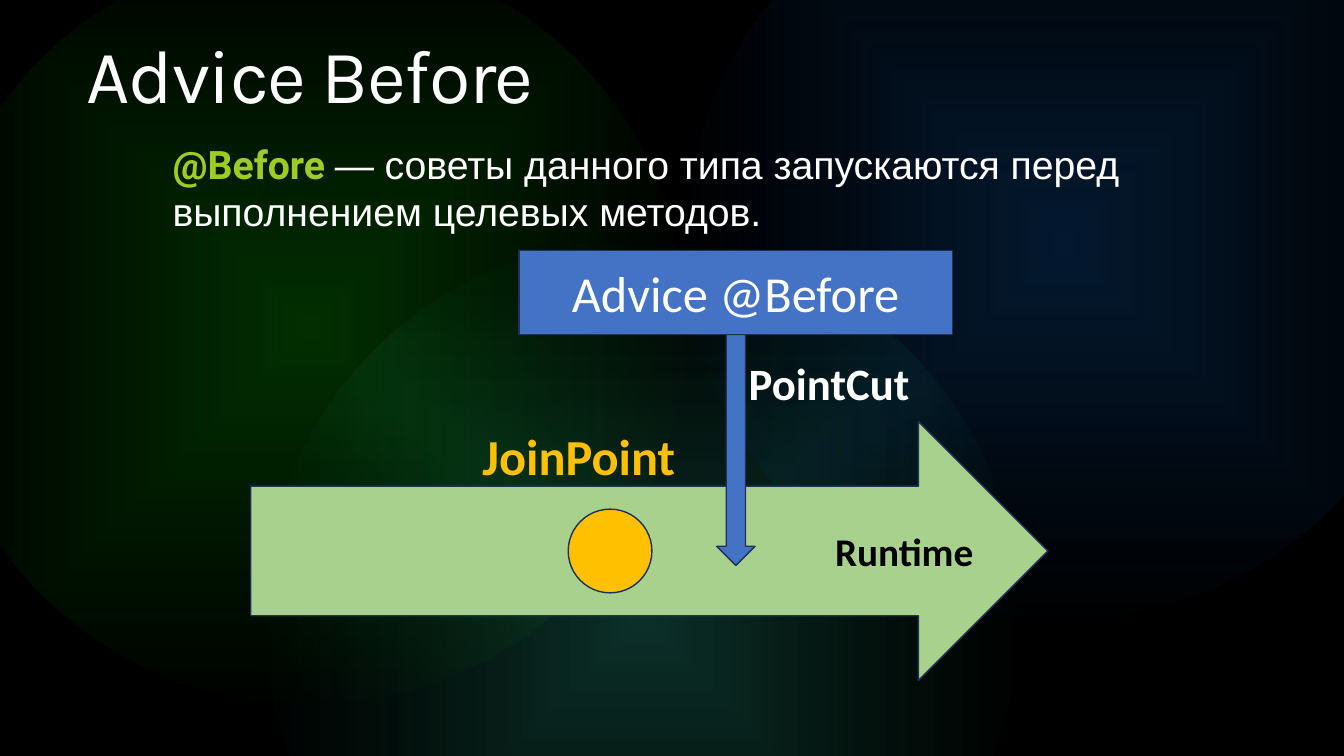
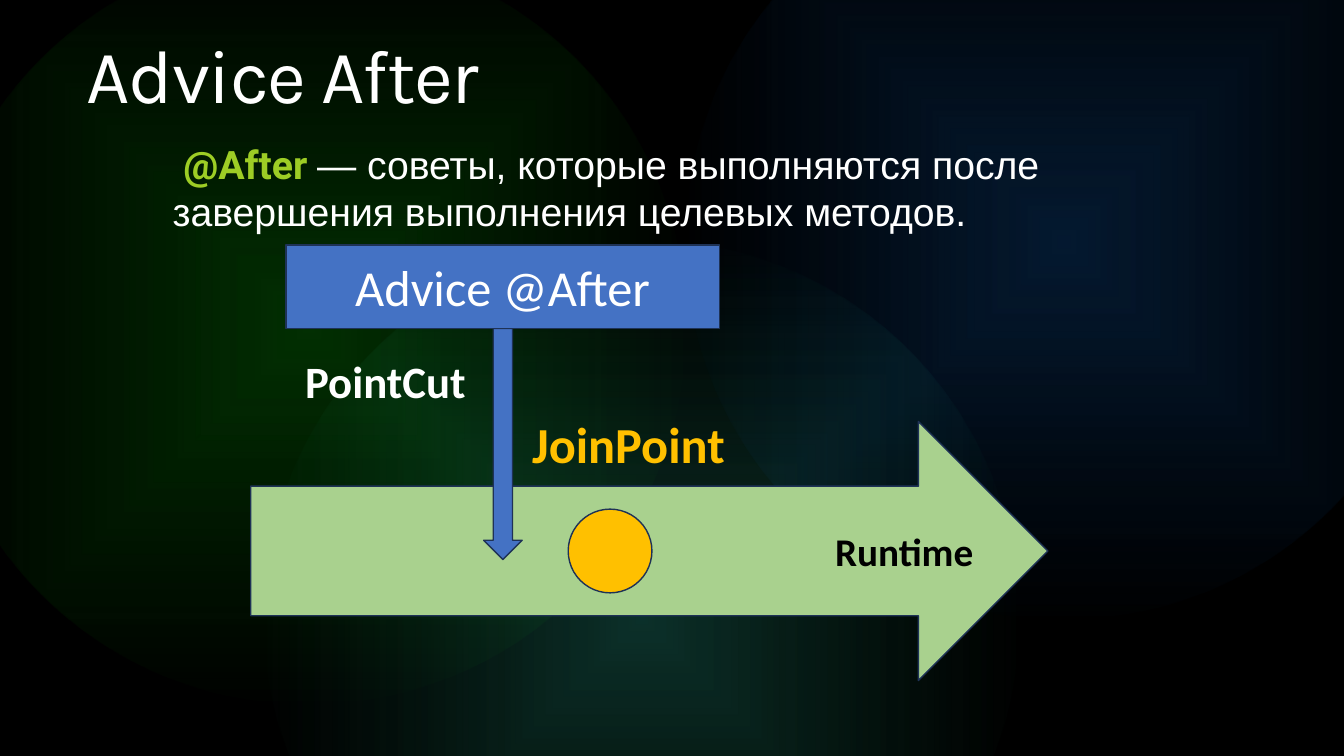
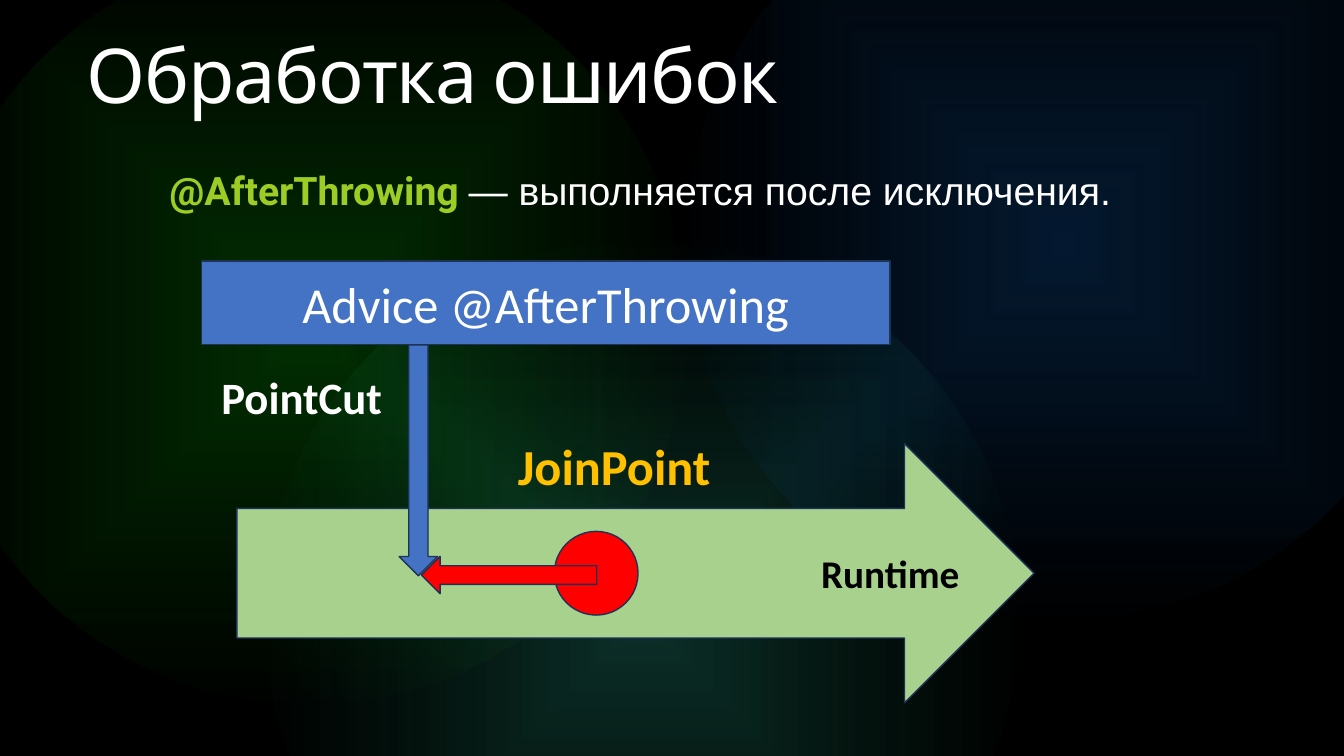
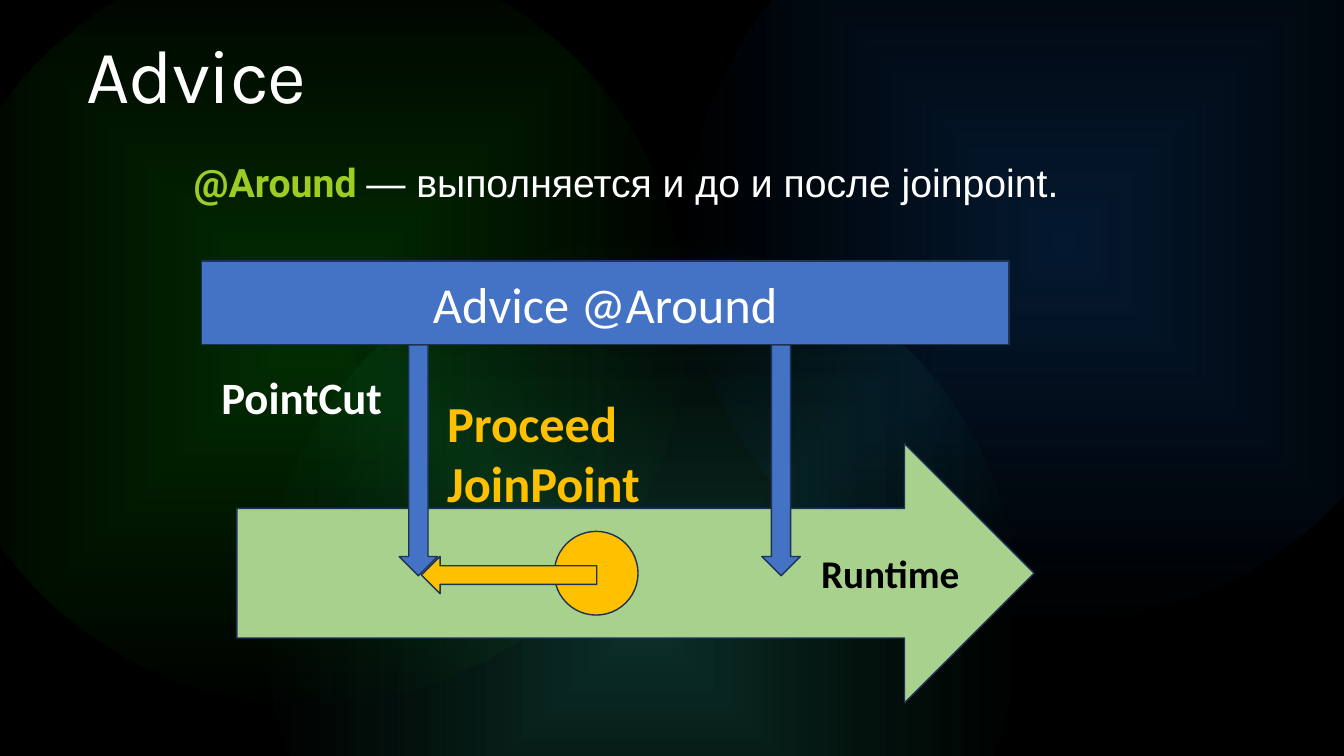
from lxml import etree
from pptx import Presentation
from pptx.dml.color import RGBColor
from pptx.enum.shapes import MSO_SHAPE
from pptx.enum.text import MSO_ANCHOR, PP_ALIGN
from pptx.oxml import parse_xml
from pptx.oxml.ns import nsdecls
from pptx.util import Cm, Pt

INK = {
    "back": "000000", "text": "FFFFFF", "dark": "000000", "tag": "9DCD25",
    "lane": "A9D18E", "blue": "4472C4", "edge": "1E3256",
    "gold": "FFC000", "red": "FF0000",
    "green": "08BC08", "teal": "31C2A7", "sea": "209F6D", "navy": "1164C0",
}


def draw(slide, kind, box, fill):
    shape = slide.shapes.add_shape(kind, *map(Cm, box))
    shape.shadow.inherit = False
    shape.fill.solid()
    shape.fill.fore_color.rgb = RGBColor.from_string(INK[fill])
    shape.line.color.rgb = RGBColor.from_string(INK["edge"])
    shape.line.width = Pt(1)
    return shape


def write(shape, runs, size, inset=None):
    """Fill a shape with one paragraph; each run is (text, font, colour, bold)."""
    frame = shape.text_frame
    frame.word_wrap = True
    if inset is not None:
        frame.margin_left = frame.margin_right = Cm(inset)
        frame.margin_top = frame.margin_bottom = Cm(inset)
    para = frame.paragraphs[0]
    for text, face, tint, bold in runs:
        run = para.add_run()
        run.text = text
        run.font.name = face
        run.font.size = Pt(size)
        run.font.bold = bold
        run.font.color.rgb = RGBColor.from_string(INK[tint])
    return para


deck = Presentation()
deck.slide_width, deck.slide_height = Cm(33.87), Cm(19.05)
blank = deck.slide_layouts[6]
master = deck.slide_master
master.background.fill.solid()
master.background.fill.fore_color.rgb = RGBColor.from_string(INK["back"])

# What differs: lane is left, top; bar is left, top, width
pages = [
    dict(title="Advice Before", tag="@Before", top=3.45, indent=0,
         note="— советы данного типа запускаются перед выполнением целевых методов.",
         left=4.27, lane=(6.32, 10.62), bar=(13.08, 6.32, 10.92), darts=[18.06],
         cut=(18.62, 8.84), join=(11.91, 10.59), label="JoinPoint",
         dot="gold", returns=False),
    dict(title="Advice After", tag="@After", top=3.45, indent=0.27,
         note="— советы, которые выполняются после завершения выполнения целевых методов.",
         left=4.27, lane=(6.32, 10.62), bar=(7.21, 6.17, 10.92), darts=[12.19],
         cut=(7.44, 8.79), join=(13.16, 10.29), label="JoinPoint",
         dot="gold", returns=False),
    dict(title="Обработка ошибок", tag="@AfterThrowing", top=4.11, indent=0,
         note="— выполняется после исключения.",
         left=4.19, lane=(5.97, 11.18), bar=(5.08, 6.58, 17.35), darts=[10.06],
         cut=(5.33, 9.19), join=(12.8, 10.85), label="JoinPoint",
         dot="red", returns=True),
    dict(title="Advice", tag="@Around", top=3.91, indent=0,
         note="— выполняется и до и после joinpoint.",
         left=4.8, lane=(5.97, 11.18), bar=(5.08, 6.58, 20.35), darts=[10.06, 19.2],
         cut=(5.33, 9.19), join=(11.02, 9.75), label="Proceed JoinPoint",
         dot="gold", returns=True),
]
slides = [deck.slides.add_slide(blank) for page in pages]

# Glowing circles, shared through the master
glows = [(-1.75, -1.3, "green", "green"), (6.63, 6.05, "teal", "sea"),
         (17.27, -3.43, "navy", "navy")]
for spot, (x, y, core, rim) in enumerate(glows):
    glow = draw(slides[0], MSO_SHAPE.OVAL, (x, y, 19.05, 19.05), core)
    glow.line.fill.background()
    props = glow.element.spPr
    solid = props.find("{*}solidFill")
    props.replace(solid, parse_xml(
        f'<a:gradFill {nsdecls("a")} rotWithShape="1"><a:gsLst>'
        f'<a:gs pos="0"><a:srgbClr val="{INK[core]}"><a:alpha val="25000"/></a:srgbClr></a:gs>'
        f'<a:gs pos="100000"><a:srgbClr val="{INK[rim]}"><a:alpha val="0"/></a:srgbClr></a:gs>'
        '</a:gsLst><a:path path="shape">'
        '<a:fillToRect l="50000" t="50000" r="50000" b="50000"/></a:path></a:gradFill>'))
    master.shapes.element.insert(2 + spot, glow.element)

for slide, page in zip(slides, pages):
    # Title and definition
    box = slide.shapes.add_textbox(Cm(2.11), Cm(1.24), Cm(18.34), Cm(1.93))
    para = write(box, [(page["title"], "Karla", "text", False)], 54, 0.08)
    para.line_spacing = 0.7
    para.runs[0].font._element.set("spc", "-100")

    box = slide.shapes.add_textbox(Cm(page["left"]), Cm(page["top"]), Cm(25.91), Cm(2.54))
    para = write(box, [(page["tag"] + " ", "Roboto", "tag", True),
                       (page["note"], "Arial", "text", False)], 28, 0.08)
    para._p.get_or_add_pPr().set("indent", str(Cm(page["indent"])))

    # Runtime lane with its join point
    x, y = page["lane"]
    lane = draw(slide, MSO_SHAPE.RIGHT_ARROW, (x, y, 20.09, 6.53), "lane")
    lane.text_frame.vertical_anchor = MSO_ANCHOR.MIDDLE
    write(lane, [("Runtime", "Calibri", "dark", True)], 28).alignment = PP_ALIGN.RIGHT
    draw(slide, MSO_SHAPE.OVAL, (x + 8, y + 2.21, 2.11, 2.11), page["dot"])
    box = slide.shapes.add_textbox(*map(Cm, page["join"]), Cm(6.96), Cm(1.8))
    write(box, [(page["label"], "Calibri", "gold", True)], 36)

    # Advice bar and its pointers
    left, top, width = page["bar"]
    for dart in page["darts"]:
        draw(slide, MSO_SHAPE.DOWN_ARROW, (dart, top + 2.11, 0.97, 5.82), "blue")
    box = slide.shapes.add_textbox(*map(Cm, page["cut"]), Cm(5.72), Cm(1.63))
    write(box, [("PointCut", "Calibri", "text", True)], 32)
    bar = draw(slide, MSO_SHAPE.RECTANGLE, (left, top, width, 2.11), "blue")
    bar.text_frame.vertical_anchor = MSO_ANCHOR.MIDDLE
    para = write(bar, [("Advice " + page["tag"], "Calibri", "text", False)], 36)
    para.alignment = PP_ALIGN.CENTER

    # Way back from the join point
    if page["returns"]:
        back = draw(slide, MSO_SHAPE.RIGHT_ARROW, (x + 4.65, y + 2.84, 4.42, 0.94), page["dot"])
        back.rotation = 180

deck.save("out.pptx")
